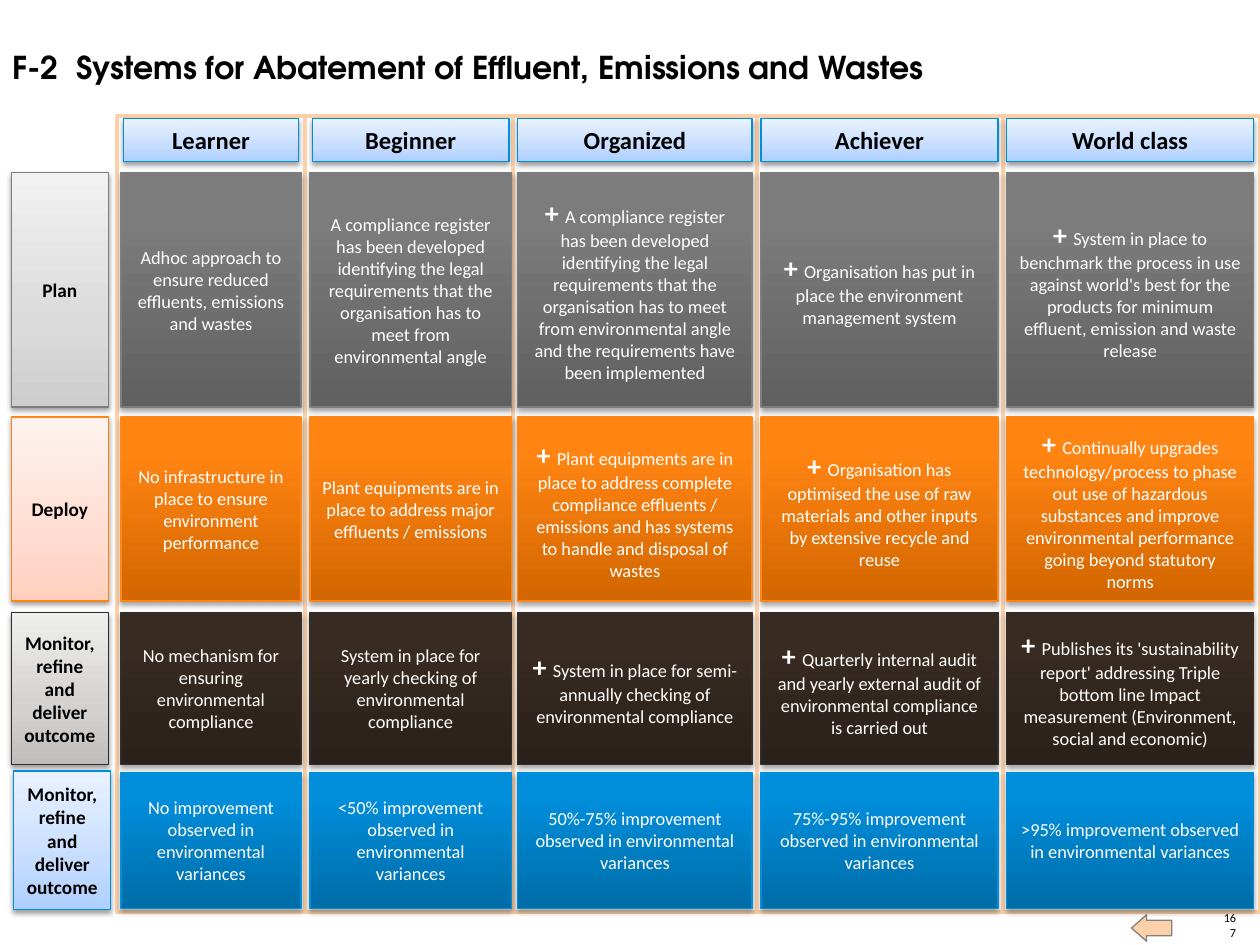
from collections import namedtuple
from copy import deepcopy
from lxml.etree import SubElement as Sub
from pptx import Presentation
from pptx.dml.color import RGBColor as Rgb
from pptx.enum.shapes import MSO_SHAPE as Kind
from pptx.enum.text import MSO_ANCHOR as Anchor, MSO_AUTO_SIZE as Auto, PP_ALIGN as Align
from pptx.oxml.ns import qn
from pptx.util import Inches, Pt

Box = namedtuple("Box", "x y w h")
Row = namedtuple("Row", "label tone texts")
Tone = namedtuple("Tone", "light dark line")  # gradients run bottom to top
Shade = namedtuple("Shade", "stops alpha dist")


class Theme:
    head, body = "TeX Gyre Adventor", "Calibri"
    black, white, peach, grey = "000000", "FFFFFF", "FCD1AA", "808080"
    title, level, label, plus, cell, page = 18, 14, 11, 16, 10.5, 7
    thin, frame = 0.75, 2
    soft = Shade((0, 0.35, 1), 38, 1.6)
    deep = Shade((0, 0.8, 1), 35, 1.8)
    ash = Tone(("CDCDCD", "DBDBDB", "F1F1F1"), ("606060", "7C7C7C", "7D7D7D"), "7D7D7D")
    orange = Tone(("FFCFBD", "FFDDD1", "FFF2EE"), ("D26600", "FF8412", "FF8514"), "FF8615")
    brown = Tone(("C0BEBC", "D3D1D0", "EEEEED"), ("2A211B", "372B22", "372B22"), "352C25")
    blue = Tone(("AECFFF", "C6DDFF", "E9F2FF"), ("006DA8", "008DDA", "008EDB"), "008FDC")


# Grid: frame edges, cell columns (left, width) and rows (top, height)
EDGES = [0.93, 2.42, 4.07, 6.01, 7.96, 10]
COLS = [(0.96, 1.43), (2.46, 1.6), (4.11, 1.86), (6.04, 1.88), (7.99, 1.96)]
BANDS = [(1.37, 1.86), (3.31, 1.46), (4.86, 1.21), (6.13, 1.08)]
SIDES = [Box(0.09, *BANDS[0][:1], 0.77, BANDS[0][1]), Box(0.09, 3.31, 0.77, 1.46),
         Box(0.09, 4.86, 0.77, 1.21), Box(0.11, 6.12, 0.77, 1.1)]
FRAME_TOP, FRAME_HIGH = 0.92, 6.32
HEAD_TOP, HEAD_HIGH = 0.94, 0.34
HEAD_INSETS = [0.02, 0.02, 0, 0, 0]

LEVELS = ["Learner", "Beginner", "Organized", "Achiever", "World class"]
OUTCOME = "Monitor, refine and deliver outcome"
ROWS = [
    Row("Plan", Theme.ash, [
        "Adhoc approach to ensure reduced effluents, emissions and wastes",
        "A compliance register has been developed identifying the legal requirements "
        "that the organisation has to meet from environmental angle",
        "+ A compliance register has been developed identifying the legal requirements "
        "that the organisation has to meet from environmental angle and the "
        "requirements have been implemented",
        "+ Organisation has put in place the environment management system",
        "+ System in place to benchmark the process in use against world's best for "
        "the products for minimum effluent, emission and waste release"]),
    Row("Deploy", Theme.orange, [
        "No infrastructure in place to ensure environment performance",
        "Plant equipments are in place to address major effluents / emissions",
        "+ Plant equipments are in place to address complete compliance effluents / "
        "emissions and has systems to handle and disposal of wastes",
        "+ Organisation has optimised the use of raw materials and other inputs by "
        "extensive recycle and reuse",
        "+ Continually upgrades technology/process to phase out use of hazardous "
        "substances and improve environmental performance going beyond statutory norms"]),
    Row(OUTCOME, Theme.brown, [
        "No mechanism for ensuring environmental compliance",
        "System in place for yearly checking of environmental compliance",
        "+ System in place for semi-annually checking of environmental compliance",
        "+ Quarterly internal audit and yearly external audit of environmental "
        "compliance is carried out",
        "+ Publishes its 'sustainability report' addressing Triple bottom line Impact "
        "measurement (Environment, social and economic)"]),
    Row(OUTCOME, Theme.blue, [
        f"{share} improvement observed in environmental variances"
        for share in ("No", "<50%", "50%-75%", "75%-95%", ">95%")]),
]


def place(part, box):
    part.left, part.top, part.width, part.height = map(Inches, box)


def write(para, text, size, color=Theme.black, bold=False, face=Theme.body):
    run = para.add_run()
    run.text = text
    font = run.font
    font.name, font.size, font.bold = face, Pt(size), bold
    font.color.rgb = Rgb.from_string(color)


def shape(slide, kind, box, line, width, fill=None):
    part = slide.shapes.add_shape(kind, *map(Inches, box))
    part.shadow.inherit = False
    part.line.color.rgb = Rgb.from_string(line)
    part.line.width = Pt(width)
    if fill:
        part.fill.solid()
        part.fill.fore_color.rgb = Rgb.from_string(fill)
    return part


def tile(slide, box, colors, line, shade):
    """Shaded, shadowed rectangle; returns its centred paragraph."""
    part = shape(slide, Kind.RECTANGLE, box, line, Theme.thin)
    part.fill.gradient()
    part.fill.gradient_angle = 90
    # Third gradient stop
    props = part._element.spPr
    stops = props.find(qn("a:gradFill")).find(qn("a:gsLst"))
    stops.append(deepcopy(stops[0]))
    for stop, spot, color in zip(part.fill.gradient_stops, shade.stops, colors):
        stop.position = spot
        stop.color.rgb = Rgb.from_string(color)
    # Drop shadow
    drop = Sub(props.find(qn("a:effectLst")), qn("a:outerShdw"), blurRad=str(Pt(3.1)),
               dist=str(Pt(shade.dist)), dir="5400000", rotWithShape="0")
    tint = Sub(drop, qn("a:srgbClr"), val=Theme.black)
    Sub(tint, qn("a:alpha"), val=str(shade.alpha * 1000))
    frame = part.text_frame
    frame.word_wrap, frame.vertical_anchor = True, Anchor.MIDDLE
    para = frame.paragraphs[0]
    para.alignment = Align.CENTER
    return para


def label(slide, box, text, tone, size):
    para = tile(slide, box, tone.light, tone.line, Theme.soft)
    write(para, text, size, bold=True)


def cell(slide, box, text, tone):
    para = tile(slide, box, tone.dark, tone.line, Theme.deep)
    if text.startswith("+ "):
        write(para, "+ ", Theme.plus, Theme.white, True)
        text = text[2:]
    write(para, text, Theme.cell, Theme.white)


def title(slide, box):
    part = slide.shapes.title
    place(part, box)
    frame = part.text_frame
    frame.auto_size, frame.vertical_anchor = Auto.NONE, Anchor.TOP
    frame.word_wrap = True
    para = frame.paragraphs[0]
    para.alignment = Align.LEFT
    write(para, "F-2  Systems for Abatement of Effluent, Emissions and Wastes",
          Theme.title, bold=True, face=Theme.head)


def footer(slide, arrow, page):
    back = shape(slide, Kind.RIGHT_ARROW, arrow, Theme.grey, Theme.thin, Theme.peach)
    back.rotation = 180
    back.adjustments[0], back.adjustments[1] = 0.59, 0.57
    frame = slide.shapes.add_textbox(*map(Inches, page)).text_frame
    frame.margin_left = frame.margin_right = frame.margin_top = frame.margin_bottom = 0
    frame.word_wrap, frame.vertical_anchor = True, Anchor.BOTTOM
    para = frame.paragraphs[0]
    para.alignment = Align.RIGHT
    write(para, "167", Theme.page)


def matrix(slide):
    # Column frames
    for left, right in zip(EDGES, EDGES[1:]):
        box = Box(left, FRAME_TOP, right - left, FRAME_HIGH)
        shape(slide, Kind.RECTANGLE, box, Theme.peach, Theme.frame, Theme.white)
    # Level headings
    for text, (x, w), gap in zip(LEVELS, COLS, HEAD_INSETS):
        box = Box(x + gap, HEAD_TOP, w - 2 * gap, HEAD_HIGH)
        label(slide, box, text, Theme.blue, Theme.level)
    # Stage labels and cells
    for row, side, (y, h) in zip(ROWS, SIDES, BANDS):
        label(slide, side, row.label, row.tone, Theme.label)
        for text, (x, w) in zip(row.texts, COLS):
            cell(slide, Box(x, y, w, h), text, row.tone)


def main():
    deck = Presentation()
    deck.slide_width, deck.slide_height = Inches(10), Inches(7.5)
    slide = deck.slides.add_slide(deck.slide_layouts[5])
    title(slide, Box(0, 0.33, 8.6, 0.4))
    footer(slide, Box(8.98, 7.26, 0.32, 0.21), Box(9.69, 7.34, 0.12, 0.12))
    matrix(slide)
    deck.save("out.pptx")


if __name__ == "__main__":
    main()
